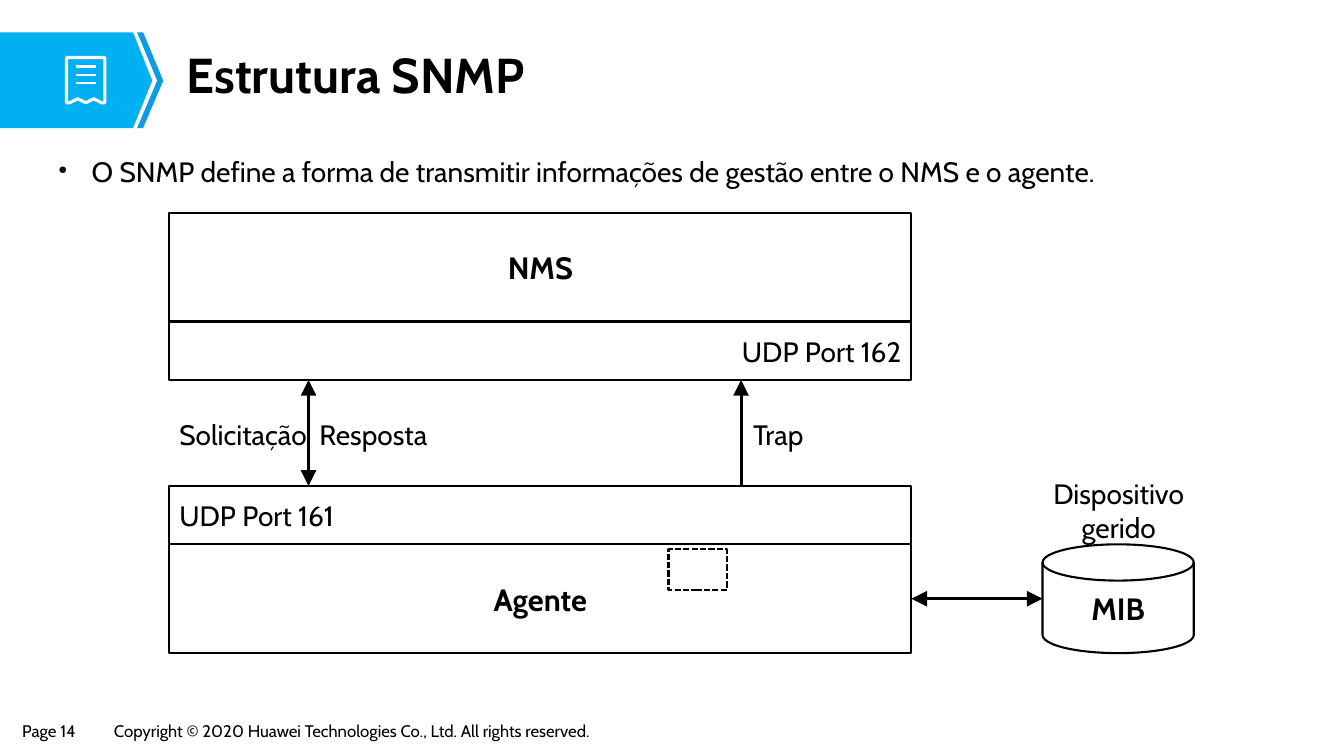
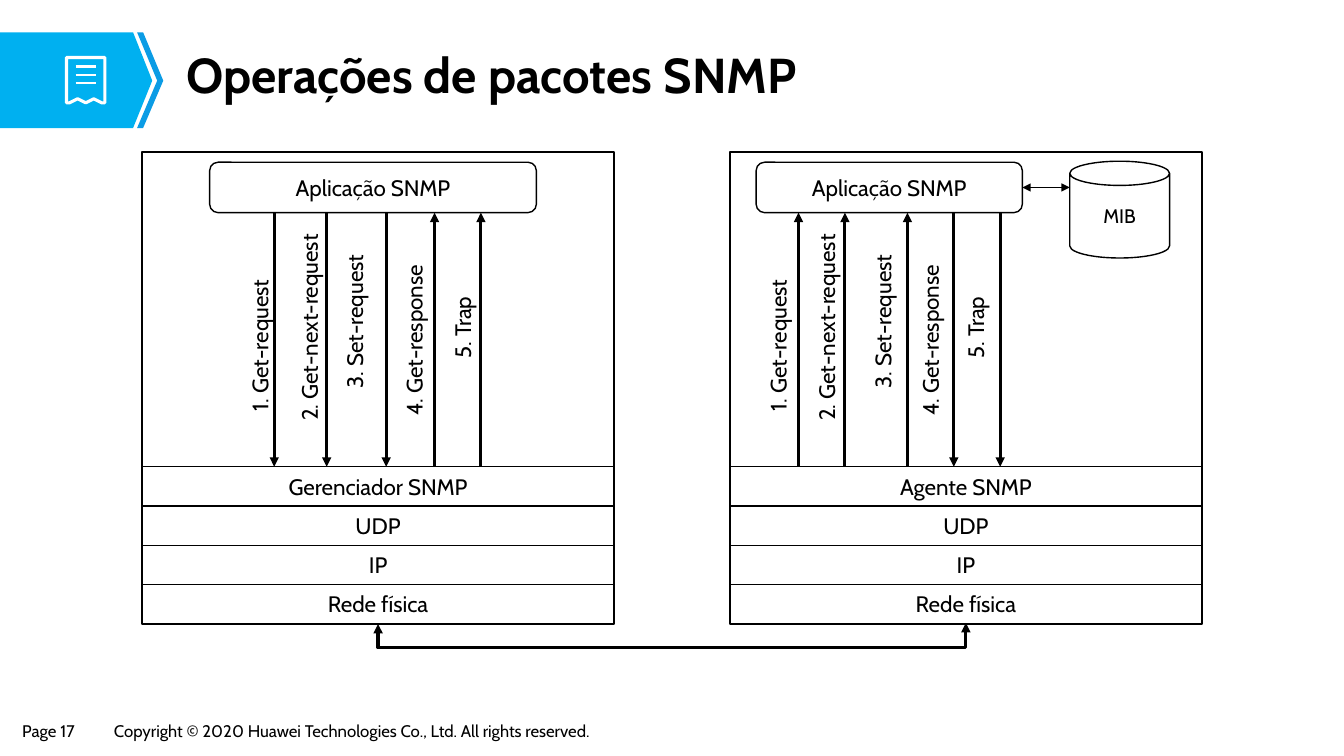
import dataclasses

import lxml.etree
import pptx
import pptx.dml.color
import pptx.enum.dml
import pptx.enum.shapes
import pptx.enum.text
import pptx.oxml.ns
import pptx.util

Inches = pptx.util.Inches
Pt = pptx.util.Pt
Kind = pptx.enum.shapes.MSO_SHAPE
Align = pptx.enum.text.PP_ALIGN
Anchor = pptx.enum.text.MSO_ANCHOR
qn = pptx.oxml.ns.qn


def rgb(code):
    return pptx.dml.color.RGBColor.from_string(code)


@dataclasses.dataclass(frozen=True)
class Theme:
    font: str = "Cabin"
    ink: str = "000000"
    white: str = "FFFFFF"
    band: str = "00B0F0"
    band_edge: str = "0B9CE5"
    title: int = 35
    heading: int = 22
    body: int = 20
    label: int = 16
    small: int = 14
    footer: int = 12
    thin: float = 1
    medium: float = 1.5
    thick: float = 2.25


THEME = Theme()
COPYRIGHT = "Copyright © 2020 Huawei Technologies Co., Ltd. All rights reserved."
LAYER_HEIGHT = 0.39
PANEL_SIZE = 4.68
PANEL_TOP = 1.51
APPLICATION_TOP = 1.61
APPLICATION_HEIGHT = 0.5
OPERATIONS = [
    ("1. Get-request", 2.57, 1.71),
    ("2. Get-next-request", 2.1, 2.3),
    ("3. Set-request", 2.2, 1.98),
    ("4. Get-response", 2.42, 1.91),
    ("5. Trap", 2.71, 1.08),
]
ONE_WAY = ("tailEnd",)
BOTH_WAYS = ("headEnd", "tailEnd")


def apply_format(target, values):
    for name, value in values.items():
        setattr(target, name, value)


def write_text(shape, text, size, bold=False, align=Align.LEFT, anchor=Anchor.TOP,
               wrap=False, insets=(0.1, 0.05), spacing=None):
    horizontal, vertical = map(Inches, insets)
    frame = shape.text_frame
    apply_format(frame, {
        "word_wrap": wrap, "vertical_anchor": anchor,
        "margin_left": horizontal, "margin_right": horizontal,
        "margin_top": vertical, "margin_bottom": vertical,
    })
    paragraph = frame.paragraphs[0]
    apply_format(paragraph, {"alignment": align, "line_spacing": spacing})
    run = paragraph.add_run()
    run.text = text
    apply_format(run.font, {"name": THEME.font, "size": Pt(size), "bold": bold})
    run.font.color.rgb = rgb(THEME.ink)
    return paragraph


def add_text(slide, box, text, size, **options):
    shape = slide.shapes.add_textbox(*map(Inches, box))
    return shape, write_text(shape, text, size, **options)


def add_bullet(paragraph):
    properties = paragraph._p.get_or_add_pPr()
    properties.set("marL", str(Inches(0.33)))
    properties.set("indent", str(Inches(-0.33)))
    lxml.etree.SubElement(properties, qn("a:buSzPct"), val="40000")
    lxml.etree.SubElement(properties, qn("a:buChar"), char="●")


def draw_line(line, width, color=THEME.ink):
    line.color.rgb = rgb(color)
    line.width = Pt(width)


def add_outline(slide, kind, box, width, text="", size=THEME.label, **options):
    shape = slide.shapes.add_shape(kind, *map(Inches, box))
    shape.shadow.inherit = False
    shape.fill.background()
    draw_line(shape.line, width)
    if text:
        options = {"align": Align.CENTER, "anchor": Anchor.MIDDLE, **options}
        write_text(shape, text, size, **options)
    return shape


def add_freeform(slide, points, fill=None, line=None):
    corners = [(Inches(x), Inches(y)) for x, y in points]
    builder = slide.shapes.build_freeform(*corners[0], scale=1.0)
    builder.add_line_segments(corners[1:], close=True)
    shape = builder.convert_to_shape()
    shape.shadow.inherit = False
    if fill:
        shape.fill.solid()
        shape.fill.fore_color.rgb = rgb(fill)
    else:
        shape.fill.background()
    if line:
        draw_line(shape.line, THEME.thick, line)
    else:
        shape.line.fill.background()


def add_line(slide, start, end, width, color=THEME.ink, heads=(), head_size="med",
             kind=pptx.enum.shapes.MSO_CONNECTOR.STRAIGHT):
    connector = slide.shapes.add_connector(kind, *map(Inches, (*start, *end)))
    draw_line(connector.line, width, color)
    outline = connector.line._get_or_add_ln()
    for head in heads:
        lxml.etree.SubElement(outline, qn(f"a:{head}"), type="triangle",
                              w=head_size, len=head_size)
    lxml.etree.SubElement(connector._element.spPr, qn("a:effectLst"))
    return connector


def add_receipt_icon(slide):
    add_freeform(slide, [
        (0.66, 0.57), (1.04, 0.57), (1.04, 1.02), (1.01, 1.02), (0.93, 0.98),
        (0.85, 1.02), (0.77, 0.98), (0.69, 1.02), (0.66, 1.02),
    ], line=THEME.white)
    for row in range(3):
        y = 0.66 + 0.08 * row
        add_line(slide, (0.75, y), (0.95, y), THEME.medium, THEME.white)


def add_base_slide(presentation, title, page):
    slide = presentation.slides.add_slide(presentation.slide_layouts[6])
    top, middle, bottom = 0.32, 0.8, 1.27
    add_freeform(slide, [(0, top), (1.32, top), (1.51, middle), (1.32, bottom), (0, bottom)],
                 THEME.band)
    add_freeform(slide, [(1.36, top), (1.42, top), (1.62, middle), (1.42, bottom),
                         (1.36, bottom), (1.56, middle)], THEME.band_edge)
    add_receipt_icon(slide)
    add_text(slide, (1.74, 0.45, 10.75, 0.7), title, THEME.title, bold=True, wrap=True,
             insets=(0.11, 0.06), spacing=0.9)
    for left, width, text in ((0.13, 0.81, f"Page {page}"), (1.04, 5.41, COPYRIGHT)):
        add_text(slide, (left, 7.11, width, 0.29), text, THEME.footer, insets=(0.09, 0.04))
    return slide


def build_structure(presentation):
    slide = add_base_slide(presentation, "Estrutura SNMP", 14)
    _, paragraph = add_text(
        slide, (0.49, 1.36, 12.36, 5.12),
        "O SNMP define a forma de transmitir informações de gestão entre o NMS e o agente.",
        THEME.body, align=Align.JUSTIFY, wrap=True, insets=(0.09, 0.04), spacing=1.4)
    add_bullet(paragraph)

    left, width = 1.68, 7.36
    blocks = {}
    for text, top, height, size, bold, align in (
        ("NMS", 2.11, 1.08, THEME.heading, True, Align.CENTER),
        ("UDP Port 162", 3.19, 0.58, THEME.body, False, Align.RIGHT),
        ("UDP Port 161", 4.82, 0.58, THEME.body, False, Align.LEFT),
        ("Agente", 5.4, 1.08, THEME.heading, True, Align.CENTER),
    ):
        blocks[text] = add_outline(slide, Kind.RECTANGLE, (left, top, width, height),
                                   THEME.medium, text, size, bold=bold, align=align)
    add_outline(slide, Kind.FLOWCHART_MAGNETIC_DISK, (10.34, 5.4, 1.5, 1.08),
                THEME.medium, "MIB", THEME.heading, bold=True)

    database_link = add_line(slide, (9.04, 5.94), (10.34, 5.94), THEME.thick,
                             heads=BOTH_WAYS, head_size="lg")
    database_link.begin_connect(blocks["Agente"], 3)
    for x, heads in ((7.35, ONE_WAY), (3.06, BOTH_WAYS)):
        add_line(slide, (x, 4.82), (x, 3.77), THEME.thick, heads=heads, head_size="lg")
    for text, x, label_width in (("Trap", 7.37, 0.78), ("Solicitação", 1.68, 1.55),
                                 ("Resposta", 3.07, 1.39)):
        add_text(slide, (x, 4.09, label_width, 0.43), text, THEME.body)
    dashed_box = add_outline(slide, Kind.RECTANGLE, (6.63, 5.45, 0.58, 0.4), THEME.medium)
    dashed_box.line.dash_style = pptx.enum.dml.MSO_LINE.SQUARE_DOT
    add_text(slide, (10.02, 4.68, 2.15, 0.43), "Dispositivo gerido", THEME.body,
             align=Align.CENTER, wrap=True)


def add_stack(slide, left, role, application_box, arrows, labels, downward):
    panel = add_outline(slide, Kind.RECTANGLE, (left, PANEL_TOP, PANEL_SIZE, PANEL_SIZE),
                        THEME.thin)
    layers = (role, "UDP", "IP", "Rede física")
    stack_top = PANEL_TOP + PANEL_SIZE - LAYER_HEIGHT * len(layers)
    for row, text in enumerate(layers):
        y = stack_top + row * LAYER_HEIGHT
        add_line(slide, (left, y), (left + PANEL_SIZE, y), THEME.thin)
        add_text(slide, (left, y + 0.01, PANEL_SIZE, 0.36), text, THEME.label,
                 align=Align.CENTER, wrap=True, insets=(0.11, 0.05))

    application_left, application_width = application_box
    application = add_outline(
        slide, Kind.ROUNDED_RECTANGLE,
        (application_left, APPLICATION_TOP, application_width, APPLICATION_HEIGHT),
        THEME.thin, "Aplicação SNMP", wrap=True)
    application_bottom = APPLICATION_TOP + APPLICATION_HEIGHT
    for (text, top, height), x, label_left, down in zip(OPERATIONS, arrows, labels, downward):
        ends = [(x, application_bottom), (x, stack_top)]
        start, end = ends if down else reversed(ends)
        add_line(slide, start, end, THEME.thick, heads=ONE_WAY)
        label, _ = add_text(slide, (label_left, top, 0.49, height), text, THEME.label,
                            align=Align.CENTER, wrap=True, insets=(0.11, 0.05))
        label._element.txBody.bodyPr.set("vert", "vert270")
    return panel, application


def add_network_link(slide, manager_panel, agent_panel):
    bottom = PANEL_TOP + PANEL_SIZE
    connector = add_line(slide, (3.75, bottom), (9.58, bottom), THEME.thick, heads=BOTH_WAYS,
                         kind=pptx.enum.shapes.MSO_CONNECTOR.ELBOW)
    connector.begin_connect(manager_panel, 2)
    connector.end_connect(agent_panel, 2)
    span, rise, drop = connector.width, Inches(0.01), Inches(0.24)
    center = connector.left + span // 2
    apply_format(connector, {
        "left": center - rise // 2, "top": Inches(bottom) - (span + rise) // 2,
        "width": rise, "height": span,
    })
    properties = connector._element.spPr
    for name, value in {"rot": "5400000", "flipH": "1", "flipV": "1"}.items():
        properties.find(qn("a:xfrm")).set(name, value)
    adjustments = properties.find(qn("a:prstGeom")).find(qn("a:avLst"))
    lxml.etree.SubElement(adjustments, qn("a:gd"), name="adj1",
                          fmla=f"val {-100000 * drop // rise}")


def build_operations(presentation):
    slide = add_base_slide(presentation, "Operações de pacotes SNMP", 17)
    requests_down = [True, True, True, False, False]
    manager_panel, _ = add_stack(
        slide, 1.41, "Gerenciador SNMP", (2.08, 3.24),
        arrows=(2.72, 3.24, 3.83, 4.31, 4.77), labels=(2.33, 2.82, 3.27, 3.86, 4.34),
        downward=requests_down)
    agent_panel, agent_application = add_stack(
        slide, 7.24, "Agente SNMP", (7.5, 2.64),
        arrows=(7.92, 8.38, 9, 9.46, 9.92), labels=(7.47, 7.95, 8.51, 8.98, 9.43),
        downward=[not down for down in requests_down])
    add_outline(slide, Kind.CAN, (10.61, 1.6, 0.99, 0.96), THEME.thin, "MIB", THEME.small,
                wrap=True)
    database_link = add_line(slide, (10.14, 1.86), (10.61, 1.86), THEME.thin, heads=BOTH_WAYS)
    database_link.begin_connect(agent_application, 3)
    add_network_link(slide, manager_panel, agent_panel)


def main():
    presentation = pptx.Presentation()
    apply_format(presentation, {"slide_width": Inches(13.33), "slide_height": Inches(7.5)})
    build_structure(presentation)
    build_operations(presentation)
    presentation.save("out.pptx")


if __name__ == "__main__":
    main()
